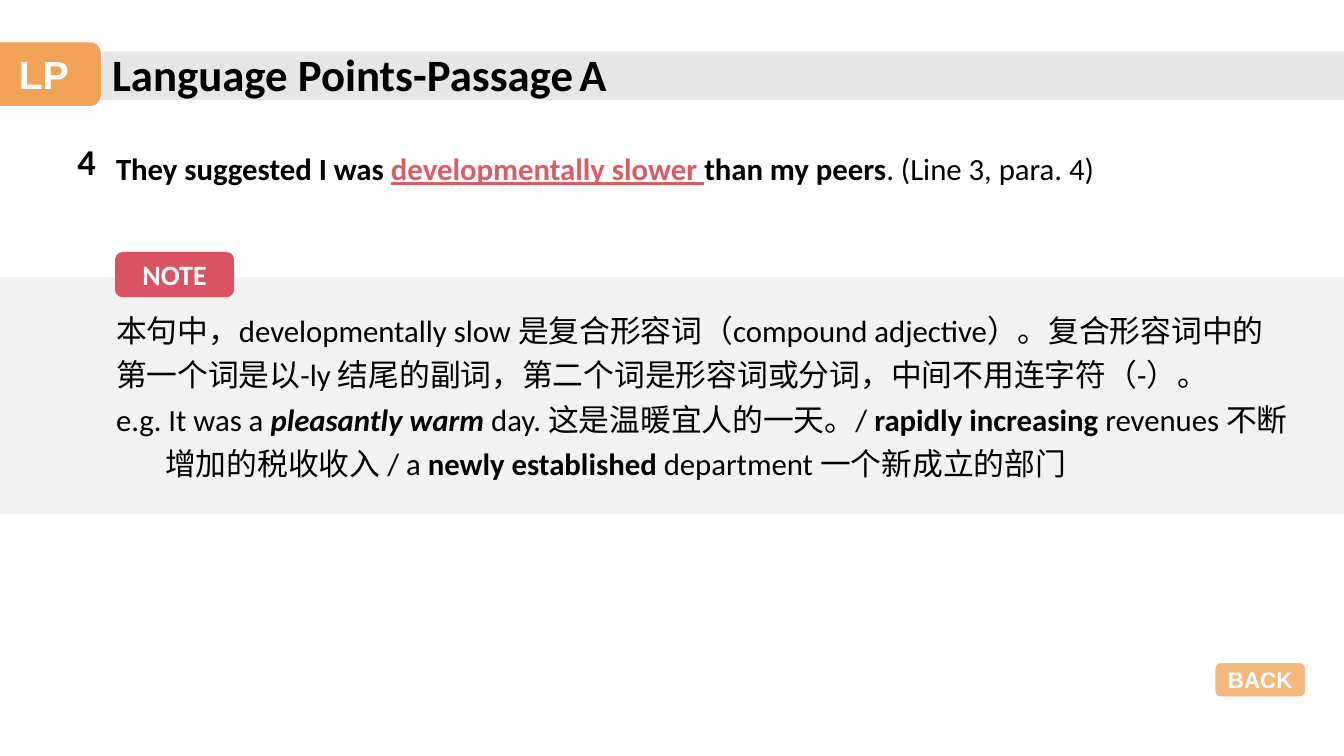
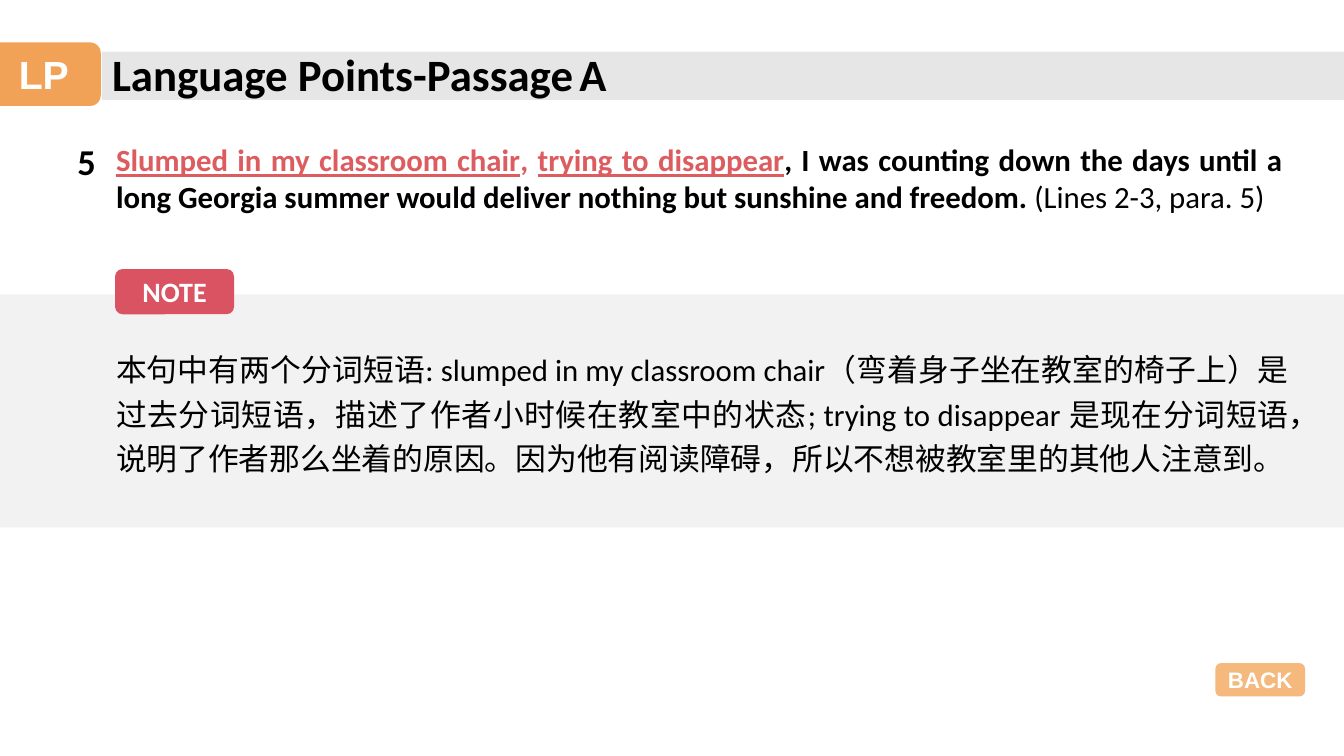
from dataclasses import dataclass

from lxml import etree
from pptx import Presentation
from pptx.dml.color import RGBColor
from pptx.enum.shapes import MSO_SHAPE
from pptx.enum.text import MSO_ANCHOR, MSO_AUTO_SIZE, PP_ALIGN
from pptx.oxml.ns import qn
from pptx.util import Cm, Pt

RECTANGLE = MSO_SHAPE.RECTANGLE
ROUNDED = MSO_SHAPE.ROUNDED_RECTANGLE
LEFT, CENTER, JUSTIFY = PP_ALIGN.LEFT, PP_ALIGN.CENTER, PP_ALIGN.JUSTIFY
TOP, MIDDLE = MSO_ANCHOR.TOP, MSO_ANCHOR.MIDDLE
NO_AUTOFIT = MSO_AUTO_SIZE.NONE
TWO_CONTENT_LAYOUT = 3


@dataclass(frozen=True)
class Theme:
    text: str = "000000"
    light: str = "FFFFFF"
    orange: str = "F19B48"
    red: str = "DA5362"
    highlight: str = "DD5C60"
    title_band: str = "E7E6E6"
    note_band: str = "F2F2F2"
    body_font: str = "Calibri"
    badge_font: str = "Arial"
    title_size: int = 32
    title_gap_size: int = 18
    badge_size: int = 28
    number_size: int = 26
    body_size: int = 22
    tag_size: int = 20
    back_size: int = 16


THEME = Theme()
SLIDE_WIDTH, SLIDE_HEIGHT = 33.87, 19.05
TEXT_LEFT = 2.67
TAG_OVERLAP = 0.64
HANGING_INDENT = 1.24

BOLD = {"bold": True}
BOLD_ITALIC = {"bold": True, "italic": True}
REGULAR = {"bold": False}
COLORED = {"color": THEME.highlight}
KEY_PHRASE = {"color": THEME.highlight, "underline": True}

LANGUAGE_POINTS = [
    {
        "number": "4",
        "sentence_box": (TEXT_LEFT, 3.45, 29.9, 1.4),
        "sentence_spacing": 1.2,
        "sentence": [
            ("They suggested I was ", {}),
            ("developmentally slower ", KEY_PHRASE),
            ("than my peers", {}),
            (". (Line 3, para. 4)", REGULAR),
        ],
        "band": (6.99, 5.97),
        "note_box": (TEXT_LEFT, 7.54, 30.07, 4.67),
        "note_alignment": LEFT,
        "note": [
            (0, [("本句中，developmentally slow 是复合形容词（compound adjective）。"
                  "复合形容词中的第一个词是以-ly 结尾的副词，第二个词是形容词或分词，"
                  "中间不用连字符（-）。", {})]),
            (HANGING_INDENT, [
                ("e.g. It was a ", {}),
                ("pleasantly warm", BOLD_ITALIC),
                (" day. 这是温暖宜人的一天。/ ", {}),
                ("rapidly increasing", BOLD),
                (" revenues 不断增加的税收收入 / a ", {}),
                ("newly established", BOLD),
                (" department 一个新成立的部门", {}),
            ]),
        ],
    },
    {
        "number": "5",
        "sentence_box": (TEXT_LEFT, 3.43, 29.9, 2.13),
        "sentence_spacing": 1.0,
        "sentence": [
            ("Slumped in my classroom chair", KEY_PHRASE),
            (", ", COLORED),
            ("trying to disappear", KEY_PHRASE),
            (", I was counting down the days until a long Georgia summer "
             "would deliver nothing but sunshine and freedom. ", {}),
            ("(Lines 2-3, para. 5)", REGULAR),
        ],
        "band": (7.42, 5.87),
        "note_box": (TEXT_LEFT, 8.53, 30.07, 3.56),
        "note_alignment": JUSTIFY,
        "note": [
            (0, [("本句中有两个分词短语: slumped in my classroom chair"
                  "（弯着身子坐在教室的椅子上）是过去分词短语，"
                  "描述了作者小时候在教室中的状态; trying to disappear 是现在分词短语，"
                  "说明了作者那么坐着的原因。因为他有阅读障碍，"
                  "所以不想被教室里的其他人注意到。", {})]),
        ],
    },
]


def style_font(font, size=None, name=None, color=None, bold=None,
               italic=None, underline=None):
    """Set only the properties that are given."""
    if size is not None:
        font.size = Pt(size)
    if color is not None:
        font.color.rgb = RGBColor.from_string(color)
    for attribute, value in (("name", name), ("bold", bold),
                             ("italic", italic), ("underline", underline)):
        if value is not None:
            setattr(font, attribute, value)


def write_paragraph(paragraph, runs, size, bold=False, color=THEME.text,
                    name=THEME.body_font, alignment=LEFT, spacing=1.0,
                    hanging=0):
    properties = paragraph._p.get_or_add_pPr()
    properties.set("marL", str(Cm(hanging)))
    properties.set("indent", str(-Cm(hanging)))
    paragraph.alignment = alignment
    paragraph.line_spacing = spacing
    paragraph.space_before = Pt(0)
    etree.SubElement(properties, qn("a:buNone"))
    style_font(paragraph.font, size, name, color, bold)
    for text, style in runs:
        run = paragraph.add_run()
        run.text = text
        style_font(run.font, **style)


def place(shape, left, top, width, height):
    shape.left, shape.top = Cm(left), Cm(top)
    shape.width, shape.height = Cm(width), Cm(height)


def prepare_placeholder(placeholder, box):
    """Move a placeholder and return its top-anchored text frame."""
    place(placeholder, *box)
    frame = placeholder.text_frame
    frame.auto_size = NO_AUTOFIT
    frame.word_wrap = True
    frame.vertical_anchor = TOP
    return frame


def add_block(slide, preset, box, color, opacity=100):
    shape = slide.shapes.add_shape(preset, *map(Cm, box))
    shape.shadow.inherit = False
    shape.fill.solid()
    shape.fill.fore_color.rgb = RGBColor.from_string(color)
    shape.line.fill.background()
    if opacity < 100:
        color_element = shape._element.spPr.find(f".//{qn('a:srgbClr')}")
        etree.SubElement(color_element, qn("a:alpha"), val=str(opacity * 1000))
    return shape


def add_band(slide, box, color):
    """Add a plain band behind the placeholders."""
    element = add_block(slide, RECTANGLE, box, color)._element
    element.getparent().insert(2, element)


def add_label(slide, text, box, color, size, name, opacity=100):
    frame = add_block(slide, ROUNDED, box, color, opacity).text_frame
    frame.word_wrap = False
    frame.vertical_anchor = MIDDLE
    write_paragraph(frame.paragraphs[0], [(text, {})], size, True,
                    THEME.light, name, CENTER)


def add_header(slide):
    add_band(slide, (2.57, 1.3, SLIDE_WIDTH - 2.57, 1.22), THEME.title_band)
    frame = prepare_placeholder(slide.shapes.title, (2.57, 1.04, 14, 1.63))
    gap = {"size": THEME.title_gap_size, "bold": False}
    write_paragraph(frame.paragraphs[0],
                    [("Language Points-Passage", {}), (" ", gap), ("A", {})],
                    THEME.title_size, True)
    add_label(slide, "LP", (-0.33, 1.07, 2.87, 1.6), THEME.orange,
              THEME.badge_size, THEME.badge_font, 92)


def add_sentence(slide, point):
    number = slide.shapes.add_textbox(Cm(1.7), Cm(3.38), Cm(1.19), Cm(1.37))
    number.text_frame.word_wrap = True
    write_paragraph(number.text_frame.paragraphs[0], [(point["number"], {})],
                    THEME.number_size, True)
    frame = prepare_placeholder(slide.placeholders[1], point["sentence_box"])
    write_paragraph(frame.paragraphs[0], point["sentence"], THEME.body_size,
                    True, alignment=JUSTIFY,
                    spacing=point["sentence_spacing"])


def add_note(slide, point):
    band_top, band_height = point["band"]
    add_band(slide, (0, band_top, SLIDE_WIDTH, band_height), THEME.note_band)
    frame = prepare_placeholder(slide.placeholders[2], point["note_box"])
    for index, (hanging, runs) in enumerate(point["note"]):
        paragraph = frame.add_paragraph() if index else frame.paragraphs[0]
        write_paragraph(paragraph, runs, THEME.body_size, spacing=1.2,
                        alignment=point["note_alignment"], hanging=hanging)
    add_label(slide, "NOTE", (2.9, band_top - TAG_OVERLAP, 3, 1.14),
              THEME.red, THEME.tag_size, THEME.body_font)


def main():
    presentation = Presentation()
    presentation.slide_width = Cm(SLIDE_WIDTH)
    presentation.slide_height = Cm(SLIDE_HEIGHT)
    layout = presentation.slide_layouts[TWO_CONTENT_LAYOUT]
    for point in LANGUAGE_POINTS:
        slide = presentation.slides.add_slide(layout)
        add_header(slide)
        add_sentence(slide, point)
        add_note(slide, point)
        add_label(slide, "BACK", (30.63, 16.71, 2.26, 0.84), THEME.orange,
                  THEME.back_size, THEME.badge_font, 71)
    presentation.save("out.pptx")


if __name__ == "__main__":
    main()
